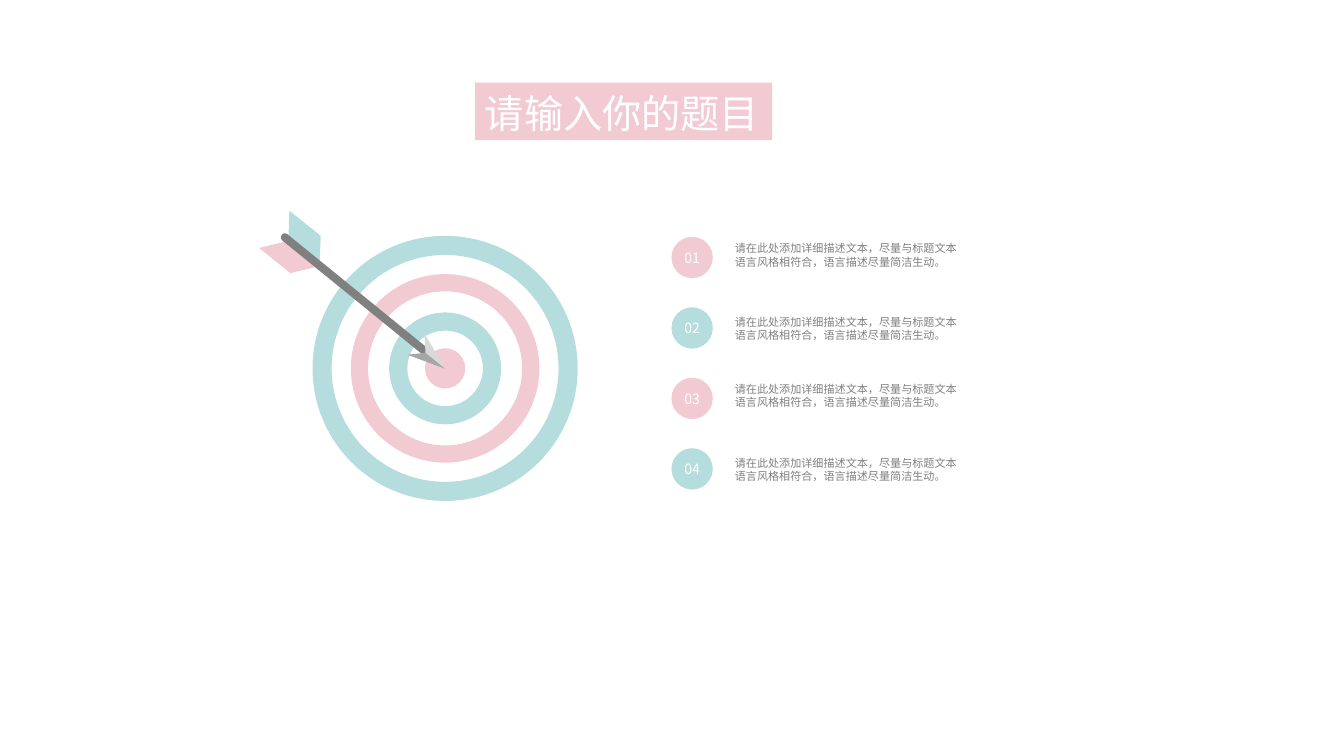
from dataclasses import dataclass

from lxml.etree import SubElement
from pptx import Presentation
from pptx.dml.color import RGBColor
from pptx.enum.shapes import MSO_SHAPE
from pptx.enum.text import MSO_ANCHOR, MSO_AUTO_SIZE, PP_ALIGN
from pptx.oxml.ns import qn
from pptx.shapes.autoshape import Shape
from pptx.slide import Slide
from pptx.util import Inches, Length, Pt

SLIDE_WIDTH, SLIDE_HEIGHT = Inches(13.33), Inches(7.5)


@dataclass(frozen=True)
class Theme:
    pink: str = "F2CAD1"
    teal: str = "B6DDDD"
    white: str = "FFFFFF"
    gray: str = "808080"
    barb_dark: str = "A6A6A6"
    barb_light: str = "D9D9D9"
    body_font: str = "Noto Sans CJK JP"
    number_font: str = "Noto Sans CJK SC"
    title_size: float = 28
    number_size: float = 10.1
    body_size: float = 7.9


@dataclass(frozen=True)
class TextStyle:
    font: str
    size: float
    color: str
    align: PP_ALIGN = PP_ALIGN.LEFT
    line_height: float | None = None


@dataclass(frozen=True)
class Ring:
    """Diameter and band are percentages of the slide height."""
    diameter: float
    band: float
    color: str


@dataclass(frozen=True)
class ArrowPart:
    """Corners are percentages of the slide width and height."""
    color: str
    corners: tuple[tuple[float, float], ...]


@dataclass(frozen=True)
class Step:
    number: str
    color: str
    text_top: float


THEME = Theme()
TITLE_STYLE = TextStyle(THEME.body_font, THEME.title_size, THEME.white, line_height=36)
NUMBER_STYLE = TextStyle(THEME.number_font, THEME.number_size, THEME.white, PP_ALIGN.CENTER)
BODY_STYLE = TextStyle(THEME.body_font, THEME.body_size, THEME.gray, line_height=9.5)

TITLE = "请输入你的题目"
DESCRIPTION = "请在此处添加详细描述文本，尽量与标题文本语言风格相符合，语言描述尽量简洁生动。"

TARGET_CENTER = (33.12, 48.73)
BACKING_DIAMETER, BULLSEYE_DIAMETER = 34.67, 5.33
RINGS = (
    Ring(35.07, 2.53, THEME.teal),
    Ring(24.93, 2.27, THEME.pink),
    Ring(14.8, 2.4, THEME.teal),
)

SHAFT_CENTER, SHAFT_LENGTH, SHAFT_THICKNESS, SHAFT_ANGLE = (26.78, 39.47), 15, 1.07, 39.1
NOCK, FEATHER_JOINT = (21.46, 31.87), (23.78, 35.2)
TIP, BARB_JOINT = (33.16, 48.8), (31.66, 46.67)
FEATHERS = (
    ArrowPart(THEME.pink, (FEATHER_JOINT, (21.61, 36.13), (19.28, 32.8), NOCK)),
    ArrowPart(THEME.teal, (FEATHER_JOINT, (23.86, 31.2), (21.53, 27.87), NOCK)),
)
BARBS = (
    ArrowPart(THEME.barb_dark, ((30.31, 46.93), TIP, BARB_JOINT)),
    ArrowPart(THEME.barb_light, (BARB_JOINT, TIP, (31.58, 44.13))),
)

BADGE_LEFT, BADGE_TOP, BADGE_PITCH, BADGE_DIAMETER = 49.96, 31.33, 9.32, 5.47
TEXT_LEFT, TEXT_WIDTH, TEXT_HEIGHT = 53.94, 18.45, 4.93
STEPS = (
    Step("01", THEME.pink, 31.33),
    Step("02", THEME.teal, 41.07),
    Step("03", THEME.pink, 49.87),
    Step("04", THEME.teal, 59.73),
)


def across(percent: float) -> Length:
    return Length(round(SLIDE_WIDTH * percent / 100))


def down(percent: float) -> Length:
    return Length(round(SLIDE_HEIGHT * percent / 100))


def paint(shape: Shape, color: str) -> None:
    shape.shadow.inherit = False
    shape.fill.solid()
    shape.fill.fore_color.rgb = RGBColor.from_string(color)
    shape.line.fill.background()


def write(shape: Shape, text: str, style: TextStyle, **frame_format: object) -> None:
    frame = shape.text_frame
    for attribute, value in frame_format.items():
        setattr(frame, attribute, value)
    paragraph = frame.paragraphs[0]
    paragraph.alignment = style.align
    if style.line_height:
        paragraph.line_spacing = Pt(style.line_height)
    run = paragraph.add_run()
    run.text = text
    for attribute, value in {"name": style.font, "size": Pt(style.size), "bold": False}.items():
        setattr(run.font, attribute, value)
    run.font.color.rgb = RGBColor.from_string(style.color)
    SubElement(run._r.get_or_add_rPr(), qn("a:ea")).set("typeface", style.font)


def add_centered(slide: Slide, kind: MSO_SHAPE, center: tuple[float, float],
                 width: Length, height: Length, color: str) -> Shape:
    left, top = across(center[0]) - width // 2, down(center[1]) - height // 2
    shape = slide.shapes.add_shape(kind, left, top, width, height)
    paint(shape, color)
    return shape


def add_title(slide: Slide) -> None:
    title = slide.shapes.title
    place = {"left": across(35.33), "top": down(10.93),
             "width": across(22.13), "height": down(7.6)}
    for attribute, value in place.items():
        setattr(title, attribute, value)
    title.fill.solid()
    title.fill.fore_color.rgb = RGBColor.from_string(THEME.pink)
    write(title, TITLE, TITLE_STYLE, word_wrap=False, auto_size=MSO_AUTO_SIZE.NONE,
          vertical_anchor=MSO_ANCHOR.MIDDLE, margin_top=0, margin_bottom=0)


def add_target(slide: Slide) -> None:
    for diameter, color in ((BACKING_DIAMETER, THEME.white), (BULLSEYE_DIAMETER, THEME.pink)):
        add_centered(slide, MSO_SHAPE.OVAL, TARGET_CENTER, down(diameter), down(diameter), color)
    for ring in RINGS:
        size = down(ring.diameter)
        donut = add_centered(slide, MSO_SHAPE.DONUT, TARGET_CENTER, size, size, ring.color)
        donut.adjustments[0] = ring.band / ring.diameter


def add_arrow_part(slide: Slide, part: ArrowPart) -> None:
    start, *others = [(across(x), down(y)) for x, y in part.corners]
    builder = slide.shapes.build_freeform(*start)
    builder.add_line_segments(others, close=True)
    paint(builder.convert_to_shape(), part.color)


def add_arrow(slide: Slide) -> None:
    for feather in FEATHERS:
        add_arrow_part(slide, feather)
    shaft = add_centered(slide, MSO_SHAPE.ROUNDED_RECTANGLE, SHAFT_CENTER,
                         across(SHAFT_LENGTH), down(SHAFT_THICKNESS), THEME.gray)
    shaft.adjustments[0] = 0.5
    shaft.rotation = SHAFT_ANGLE
    for barb in BARBS:
        add_arrow_part(slide, barb)


def add_step(slide: Slide, index: int, step: Step) -> None:
    size = down(BADGE_DIAMETER)
    badge = slide.shapes.add_shape(MSO_SHAPE.OVAL, across(BADGE_LEFT),
                                   down(BADGE_TOP + index * BADGE_PITCH), size, size)
    paint(badge, step.color)
    write(badge, step.number, NUMBER_STYLE, vertical_anchor=MSO_ANCHOR.MIDDLE,
          margin_left=0, margin_top=0, margin_right=0, margin_bottom=0)
    description = slide.shapes.add_textbox(across(TEXT_LEFT), down(step.text_top),
                                           across(TEXT_WIDTH), down(TEXT_HEIGHT))
    write(description, DESCRIPTION, BODY_STYLE, word_wrap=True)


def main() -> None:
    presentation = Presentation()
    presentation.slide_width, presentation.slide_height = SLIDE_WIDTH, SLIDE_HEIGHT
    slide = presentation.slides.add_slide(presentation.slide_layouts[5])
    add_title(slide)
    add_target(slide)
    add_arrow(slide)
    for index, step in enumerate(STEPS):
        add_step(slide, index, step)
    presentation.save("out.pptx")


if __name__ == "__main__":
    main()
